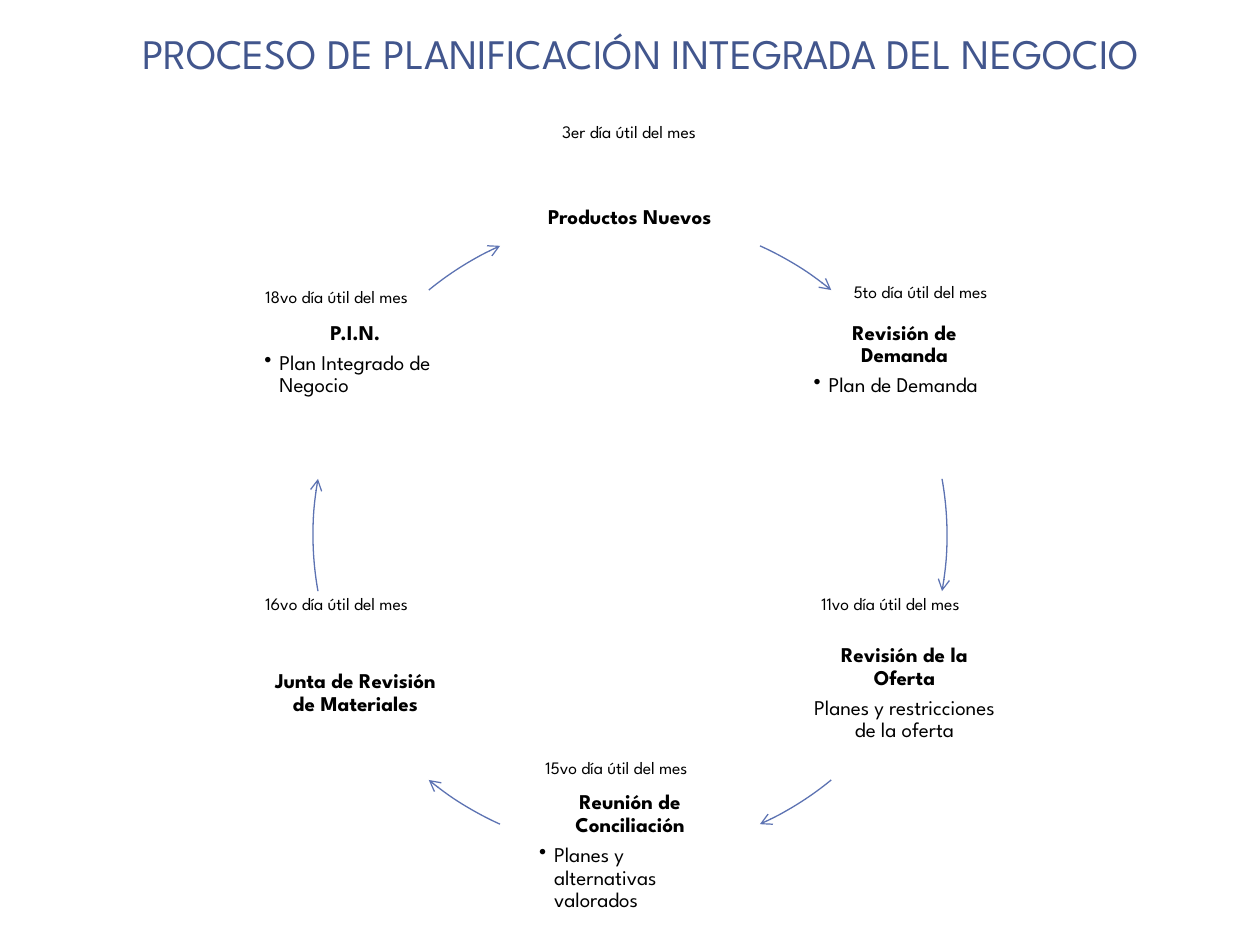
from math import cos, radians, sin

from lxml.etree import SubElement
from pptx import Presentation
from pptx.dml.color import RGBColor
from pptx.enum.shapes import MSO_SHAPE
from pptx.enum.text import MSO_ANCHOR, MSO_AUTO_SIZE, PP_ALIGN
from pptx.oxml.ns import qn
from pptx.util import Emu, Inches, Pt

PIXELS_PER_INCH = 126
FONT = "League Spartan"
BLACK = RGBColor(0x00, 0x00, 0x00)
WHITE = RGBColor(0xFF, 0xFF, 0xFF)
TITLE_BLUE = RGBColor(0x42, 0x56, 0x8D)
ARROW_BLUE = RGBColor(0x5C, 0x72, 0xB2)

CENTER_X, CENTER_Y, RADIUS = 630, 535, 317
STEP_WIDTH, STEP_HEIGHT = 207, 134
INSET = 6
BULLET_INDENT = 15

HEADING = {"alignment": PP_ALIGN.CENTER, "line_spacing": 0.9, "space_after": Pt(4.2)}
BULLET = {"alignment": PP_ALIGN.LEFT, "line_spacing": 0.9, "space_after": Pt(1.8), "level": 1}

STEPS = [
    ("Productos Nuevos", None, None, MSO_ANCHOR.MIDDLE),
    ("Revisión de Demanda", "Plan de Demanda", BULLET, MSO_ANCHOR.TOP),
    ("Revisión de la Oferta", "Planes y restricciones de la oferta", HEADING, MSO_ANCHOR.MIDDLE),
    ("Reunión de Conciliación", "Planes y alternativas valorados", BULLET, MSO_ANCHOR.MIDDLE),
    ("Junta de Revisión de Materiales", None, None, MSO_ANCHOR.MIDDLE),
    ("P.I.N.", "Plan Integrado de Negocio", BULLET, MSO_ANCHOR.TOP),
]
ARROW_ANGLES = [
    (294.2, 309.4), (349.8, 10.2), (50.6, 65.8),
    (114.2, 129.4), (169.8, 190.2), (230.6, 245.8),
]
DATES = [
    ("3er día útil del mes", 530, 115, 198, PP_ALIGN.CENTER),
    ("5to día útil del mes", 819, 275, 203, PP_ALIGN.CENTER),
    ("11vo día útil del mes", 809, 587, 258, PP_ALIGN.LEFT),
    ("15vo día útil del mes", 533, 751, 198, PP_ALIGN.LEFT),
    ("16vo día útil del mes", 253, 587, 198, PP_ALIGN.LEFT),
    ("18vo día útil del mes", 253, 280, 198, PP_ALIGN.LEFT),
]


def px(length):
    return Emu(round(length * Inches(1) / PIXELS_PER_INCH))


def apply_format(target, values):
    for name, value in values.items():
        setattr(target, name, value)


def place(box, left, top, width, height):
    apply_format(box, {"left": px(left), "top": px(top), "width": px(width), "height": px(height)})


def write(para, text, size, color=BLACK, bold=False):
    span = para.add_run()
    span.text = text
    apply_format(span.font, {"name": FONT, "size": Pt(size), "bold": bold})
    span.font.color.rgb = color


def add_bullet(para):
    properties = para._p.get_or_add_pPr()
    properties.set("marL", str(px(BULLET_INDENT)))
    properties.set("indent", str(-px(BULLET_INDENT)))
    SubElement(properties, qn("a:buChar")).set("char", "•")


def add_title(page, text):
    box = page.shapes.title
    place(box, 35, 21, 1211, 63)
    frame = box.text_frame
    apply_format(frame, {
        "word_wrap": True,
        "auto_size": MSO_AUTO_SIZE.SHAPE_TO_FIT_TEXT,
        "vertical_anchor": MSO_ANCHOR.TOP,
    })
    para = frame.paragraphs[0]
    para.alignment = PP_ALIGN.CENTER
    write(para, text, 24, TITLE_BLUE)


def add_step(page, index, heading, detail, detail_format, anchor):
    angle = radians(60 * index - 90)
    left = CENTER_X + RADIUS * cos(angle) - STEP_WIDTH / 2
    top = CENTER_Y + RADIUS * sin(angle) - STEP_HEIGHT / 2
    box = page.shapes.add_shape(
        MSO_SHAPE.ROUNDED_RECTANGLE, px(left), px(top), px(STEP_WIDTH), px(STEP_HEIGHT))
    box.shadow.inherit = False
    box.fill.solid()
    box.fill.fore_color.rgb = WHITE
    box.line.fill.background()
    frame = box.text_frame
    apply_format(frame, {"word_wrap": True, "vertical_anchor": anchor})
    sides = ("left", "top", "right", "bottom")
    apply_format(frame, {f"margin_{side}": px(INSET) for side in sides})
    para = frame.paragraphs[0]
    apply_format(para, HEADING)
    write(para, heading, 12, bold=True)
    if detail:
        para = frame.add_paragraph()
        apply_format(para, detail_format)
        if detail_format is BULLET:
            add_bullet(para)
        write(para, detail, 12)


def add_arrow(page, start, end):
    arc = page.shapes.add_shape(
        MSO_SHAPE.ARC, px(CENTER_X - RADIUS), px(CENTER_Y - RADIUS), px(2 * RADIUS), px(2 * RADIUS))
    arc.shadow.inherit = False
    arc.adjustments[0] = start * 0.6
    arc.adjustments[1] = end * 0.6
    arc.fill.background()
    arc.line.color.rgb = ARROW_BLUE
    arc.line.width = Pt(0.75)
    outline = arc.line._get_or_add_ln()
    SubElement(outline, qn("a:tailEnd")).set("type", "arrow")


def add_date(page, text, left, top, width, alignment):
    box = page.shapes.add_textbox(px(left), px(top), px(width), px(34))
    frame = box.text_frame
    apply_format(frame, {"word_wrap": True, "auto_size": MSO_AUTO_SIZE.SHAPE_TO_FIT_TEXT})
    para = frame.paragraphs[0]
    para.alignment = alignment
    write(para, text, 10)


def main():
    deck = Presentation()
    apply_format(deck, {"slide_width": px(1260), "slide_height": px(945)})
    page = deck.slides.add_slide(deck.slide_layouts[5])
    add_title(page, "PROCESO DE PLANIFICACIÓN INTEGRADA DEL NEGOCIO")
    for index, (step, angles) in enumerate(zip(STEPS, ARROW_ANGLES)):
        add_step(page, index, *step)
        add_arrow(page, *angles)
    for date in DATES:
        add_date(page, *date)
    deck.save("out.pptx")


if __name__ == "__main__":
    main()
